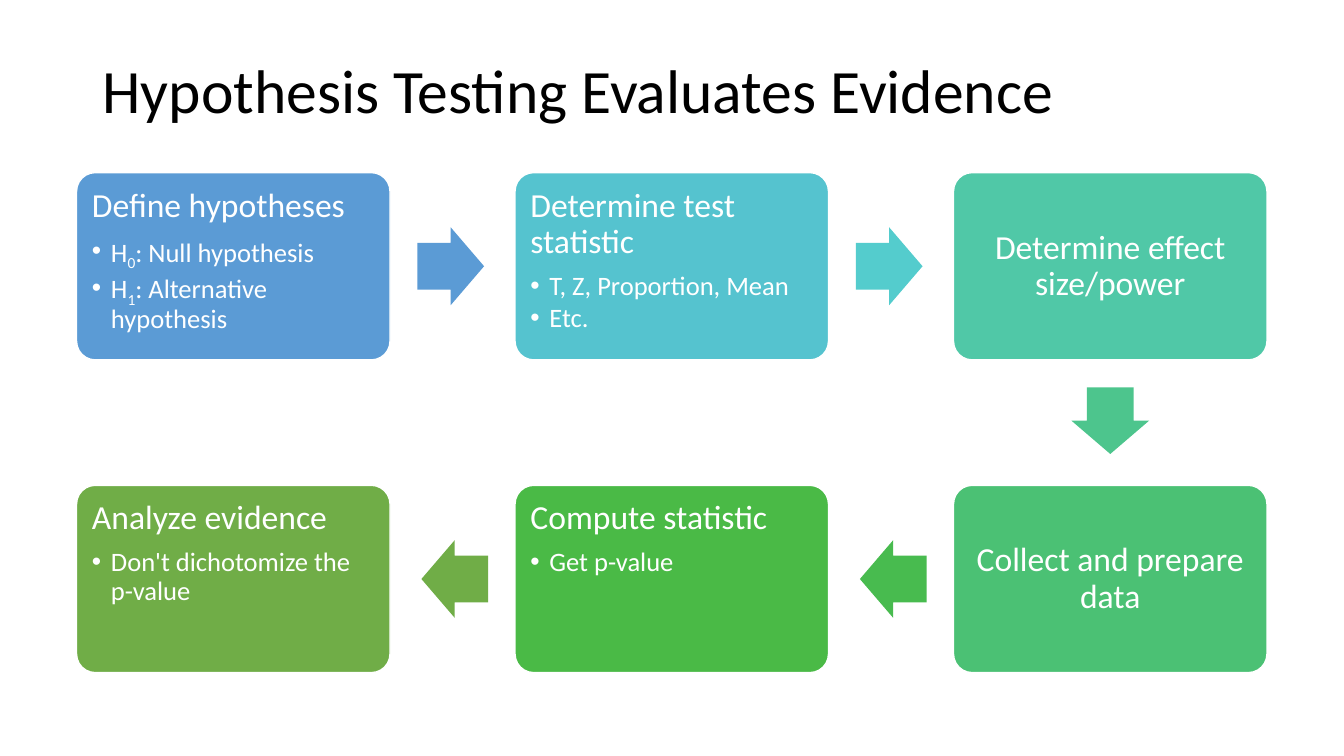
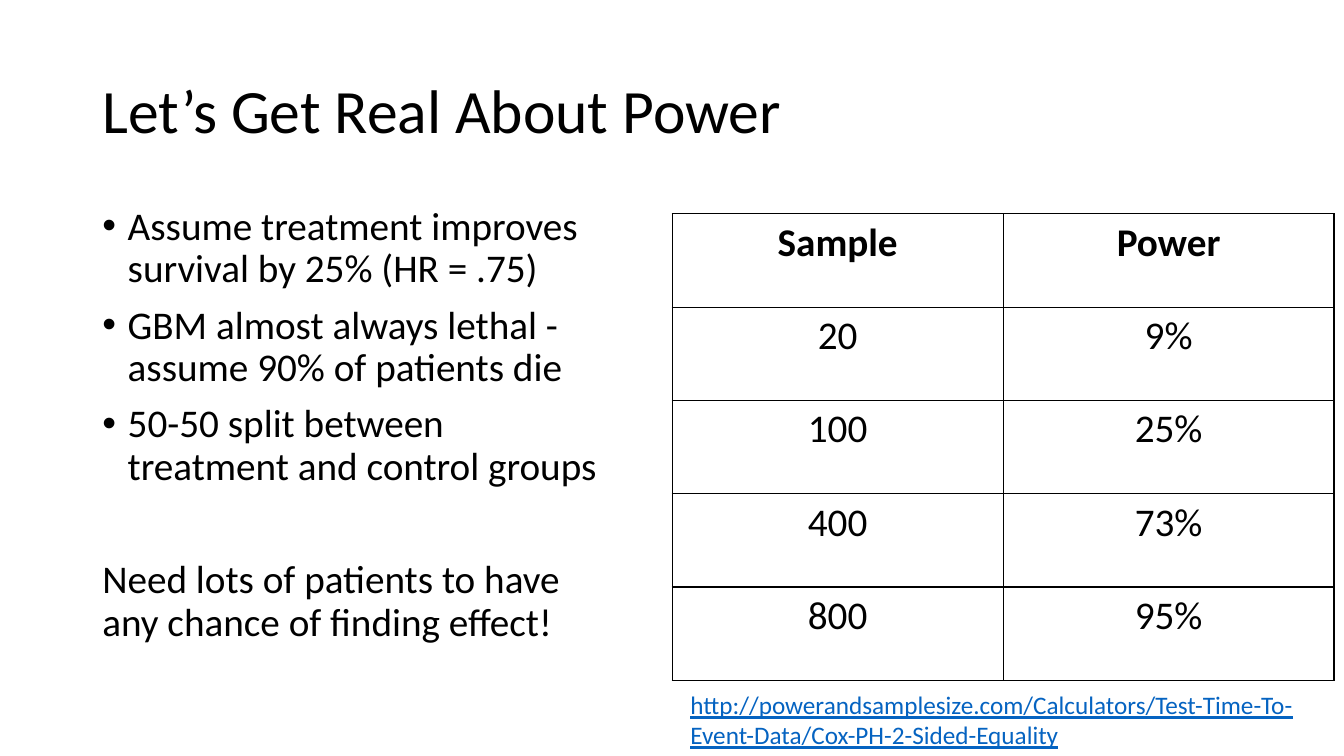
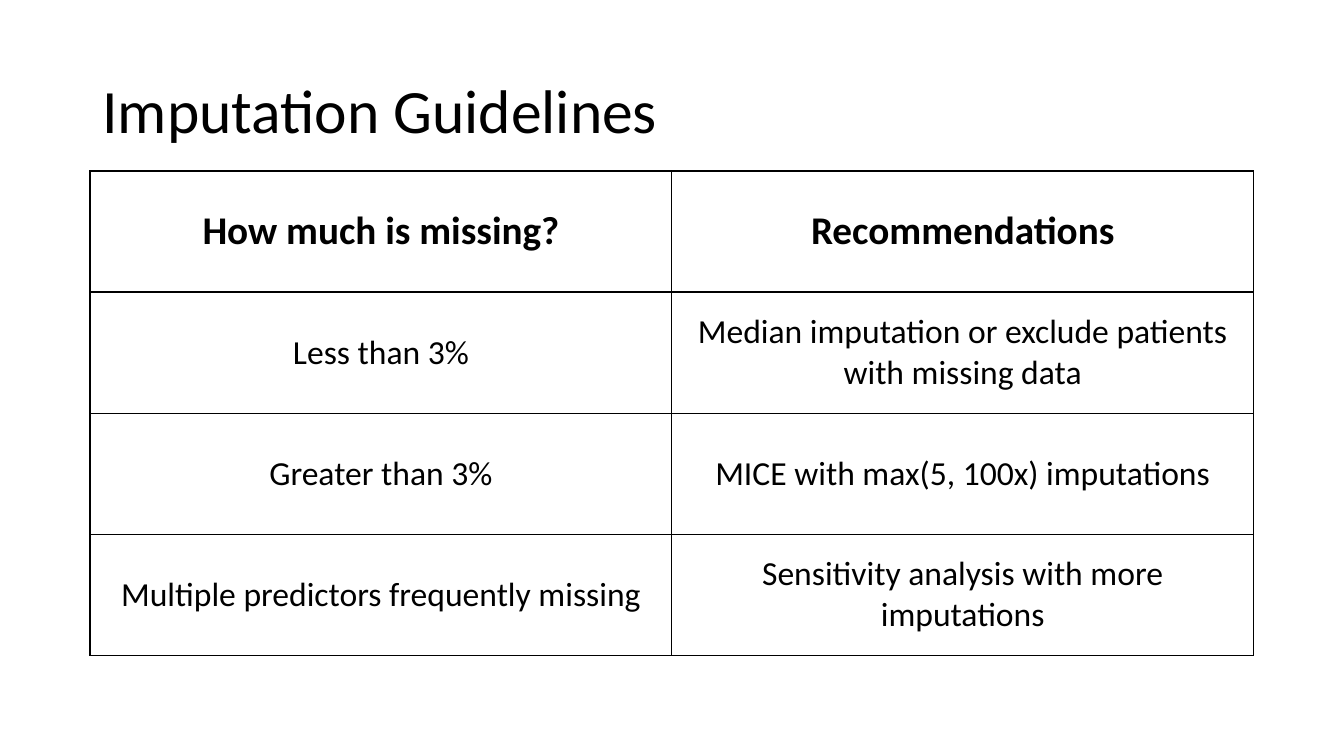
from lxml.etree import SubElement
from pptx import Presentation
from pptx.dml.color import RGBColor
from pptx.enum.shapes import MSO_SHAPE as Shape
from pptx.enum.text import MSO_ANCHOR as Anchor, MSO_AUTO_SIZE as AutoSize, PP_ALIGN as Align
from pptx.oxml.ns import qn
from pptx.util import Cm, Pt

FONT = "Calibri"
COLORS = {
    "text": "000000",
    "white": "FFFFFF",
    "link": "0563C1",
    "blue": "5B9BD5",
    "cyan": "55C3CF",
    "cyan_arrow": "54CCCD",
    "teal": "50C8A7",
    "teal_arrow": "4DC58D",
    "mint": "4BC174",
    "mint_arrow": "48BB4F",
    "green": "4ABA46",
    "olive": "70AD47",
}

# Flow grid, in centimetres
BOX_LEFT, BOX_TOP = 1.93, 4.35
BOX_WIDTH, BOX_HEIGHT = 7.9, 4.72
COLUMN_STEP, ROW_STEP = 11.05, 7.88
ARROW_WIDTH, ARROW_HEIGHT = 1.68, 1.96

# Column, row, colour, heading, bullets; the middle part of a tuple is a subscript
STEPS = [
    (0, 0, "blue", "Define hypotheses",
     [("H", "0", ": Null hypothesis"), ("H", "1", ": Alternative hypothesis")]),
    (1, 0, "cyan", "Determine test statistic", [("T, Z, Proportion, Mean",), ("Etc.",)]),
    (2, 0, "teal", "Determine effect size/power", []),
    (2, 1, "mint", "Collect and prepare data", []),
    (1, 1, "green", "Compute statistic", [("Get p-value",)]),
    (0, 1, "olive", "Analyze evidence", [("Don't dichotomize the p-value",)]),
]

# Centre of each arrow, rotation, colour
UPPER_ROW = BOX_TOP + BOX_HEIGHT / 2
LOWER_ROW = UPPER_ROW + ROW_STEP
ARROWS = [
    (11.36, UPPER_ROW, 0, "blue"),
    (11.36 + COLUMN_STEP, UPPER_ROW, 0, "cyan_arrow"),
    (BOX_LEFT + 2 * COLUMN_STEP + BOX_WIDTH / 2, 10.6, 90, "teal_arrow"),
    (11.46 + COLUMN_STEP, LOWER_ROW, 180, "mint_arrow"),
    (11.46, LOWER_ROW, 180, "olive"),
]

ASSUMPTIONS = [
    "Assume treatment improves survival by 25% (HR = .75)",
    "GBM almost always lethal - assume 90% of patients die",
    "50-50 split between treatment and control groups",
]
POWER_ROWS = [
    ("Sample", "Power"),
    ("20", "9%"),
    ("100", "25%"),
    ("400", "73%"),
    ("800", "95%"),
]
IMPUTATION_ROWS = [
    ("How much is missing?", "Recommendations"),
    ("Less than 3%", "Median imputation or exclude patients with missing data"),
    ("Greater than 3%", "MICE with max(5, 100x) imputations"),
    ("Multiple predictors frequently missing", "Sensitivity analysis with more imputations"),
]
CALCULATOR = ("http://powerandsamplesize.com/Calculators/"
              "Test-Time-To-Event-Data/Cox-PH-2-Sided-Equality")


def rgb(name):
    return RGBColor.from_string(COLORS[name])


def style(para, size, color="text", bold=False):
    para.font.name = FONT
    para.font.size = Pt(size)
    para.font.bold = bold
    para.font.color.rgb = rgb(color)


def add_bullet(para, indent):
    properties = para._p.get_or_add_pPr()
    properties.set("marL", str(Cm(indent)))
    properties.set("indent", str(-Cm(indent)))
    SubElement(properties, qn("a:buFont"), typeface="Arial")
    SubElement(properties, qn("a:buChar"), char="•")


def next_para(frame):
    """Return the empty first paragraph, or a new one after existing text."""
    first = frame.paragraphs[0]
    return frame.add_paragraph() if first.runs else first


def add_slide(deck, title_text, top=1.02):
    slide = deck.slides.add_slide(deck.slide_layouts[5])
    title = slide.shapes.title
    title.left, title.top, title.width, title.height = Cm(2.33), Cm(top), Cm(29.21), Cm(3.68)
    frame = title.text_frame
    frame.text = title_text
    frame.auto_size = AutoSize.NONE
    frame.vertical_anchor = Anchor.MIDDLE
    para = frame.paragraphs[0]
    para.alignment = Align.LEFT
    para.line_spacing = 0.9
    style(para, 44)
    return slide


def add_text_box(slide, left, top, width, height):
    frame = slide.shapes.add_textbox(Cm(left), Cm(top), Cm(width), Cm(height)).text_frame
    frame.word_wrap = True
    return frame


def add_solid(slide, kind, left, top, width, height, color):
    shape = slide.shapes.add_shape(kind, Cm(left), Cm(top), Cm(width), Cm(height))
    shape.shadow.inherit = False
    shape.fill.solid()
    shape.fill.fore_color.rgb = rgb(color)
    shape.line.fill.background()
    return shape


def add_step(slide, column, row, color, heading, bullets):
    box = add_solid(slide, Shape.ROUNDED_RECTANGLE, BOX_LEFT + column * COLUMN_STEP,
                    BOX_TOP + row * ROW_STEP, BOX_WIDTH, BOX_HEIGHT, color)
    box.adjustments[0] = 0.1
    box.line.color.rgb = rgb("white")
    box.line.width = Pt(1)
    frame = box.text_frame
    frame.word_wrap = True
    frame.margin_left = frame.margin_right = frame.margin_top = frame.margin_bottom = Cm(0.25)
    frame.vertical_anchor = Anchor.TOP if bullets else Anchor.MIDDLE

    for parts in [(heading,), *bullets]:
        para = next_para(frame)
        is_heading = parts == (heading,)
        para.alignment = Align.LEFT if bullets else Align.CENTER
        para.line_spacing = 0.9
        if bullets:
            para.space_after = Pt(8.4 if is_heading else 2.85)
        if not is_heading:
            add_bullet(para, 0.48)
        style(para, 24 if is_heading else 19, "white")
        for index, part in enumerate(parts):
            span = para.add_run()
            span.text = part
            if index == 1:
                span._r.get_or_add_rPr().set("baseline", "-25000")


def add_arrow(slide, center_x, center_y, rotation, color):
    arrow = add_solid(slide, Shape.RIGHT_ARROW, center_x - ARROW_WIDTH / 2,
                      center_y - ARROW_HEIGHT / 2, ARROW_WIDTH, ARROW_HEIGHT, color)
    arrow.adjustments[0] = 0.6
    arrow.adjustments[1] = 0.5
    arrow.rotation = rotation


def add_borders(cell):
    properties = cell._tc.get_or_add_tcPr()
    for side in ("lnL", "lnR", "lnT", "lnB"):
        line = SubElement(properties, qn("a:" + side), w=str(Pt(1)))
        fill = SubElement(line, qn("a:solidFill"))
        SubElement(fill, qn("a:srgbClr"), val=COLORS["text"])


def add_grid(slide, rows, left, top, column_width, row_height, body_size, anchor):
    column_count = len(rows[0])
    table = slide.shapes.add_table(
        len(rows), column_count, Cm(left), Cm(top),
        Cm(column_width * column_count), Cm(row_height * len(rows))).table
    table.first_row = table.horz_banding = False
    for column in table.columns:
        column.width = Cm(column_width)
    for row_index, texts in enumerate(rows):
        table.rows[row_index].height = Cm(row_height)
        is_header = row_index == 0
        for column_index, text in enumerate(texts):
            cell = table.cell(row_index, column_index)
            add_borders(cell)
            cell.fill.background()
            cell.vertical_anchor = anchor
            cell.text = text
            para = cell.text_frame.paragraphs[0]
            para.alignment = Align.CENTER
            style(para, 28 if is_header else body_size, bold=is_header)


def build_process(deck):
    slide = add_slide(deck, "Hypothesis Testing Evaluates Evidence", top=0.51)
    for step in STEPS:
        add_step(slide, *step)
    for arrow in ARROWS:
        add_arrow(slide, *arrow)


def build_power(deck):
    slide = add_slide(deck, "Let’s Get Real About Power")

    # Assumptions and conclusion
    frame = add_text_box(slide, 2.33, 5.08, 13.06, 12.09)
    for index, text in enumerate(ASSUMPTIONS):
        para = next_para(frame)
        para.text = text
        para.line_spacing = 0.9
        if index:
            para.space_before = Pt(10)
        add_bullet(para, 0.64)
        style(para, 28)
    conclusion = next_para(frame)
    conclusion.text = "Need lots of patients to have any chance of finding effect!"
    conclusion.line_spacing = 0.9
    conclusion.space_before = Pt(51)
    style(conclusion, 28)

    # Power by sample size, with its web address
    add_grid(slide, POWER_ROWS, 16.94, 5.39, 8.34, 2.35, 28, Anchor.TOP)
    address = next_para(add_text_box(slide, 17.15, 17.25, 16.28, 1.8))
    address.text = CALCULATOR
    style(address, 18, "link")
    address.font.underline = True


def build_imputation(deck):
    slide = add_slide(deck, "Imputation Guidelines")
    add_grid(slide, IMPUTATION_ROWS, 2.27, 4.31, 14.66, 3.05, 24, Anchor.MIDDLE)


def main():
    deck = Presentation()
    deck.slide_width, deck.slide_height = Cm(33.87), Cm(19.05)
    build_process(deck)
    build_power(deck)
    build_imputation(deck)
    deck.save("out.pptx")


if __name__ == "__main__":
    main()
